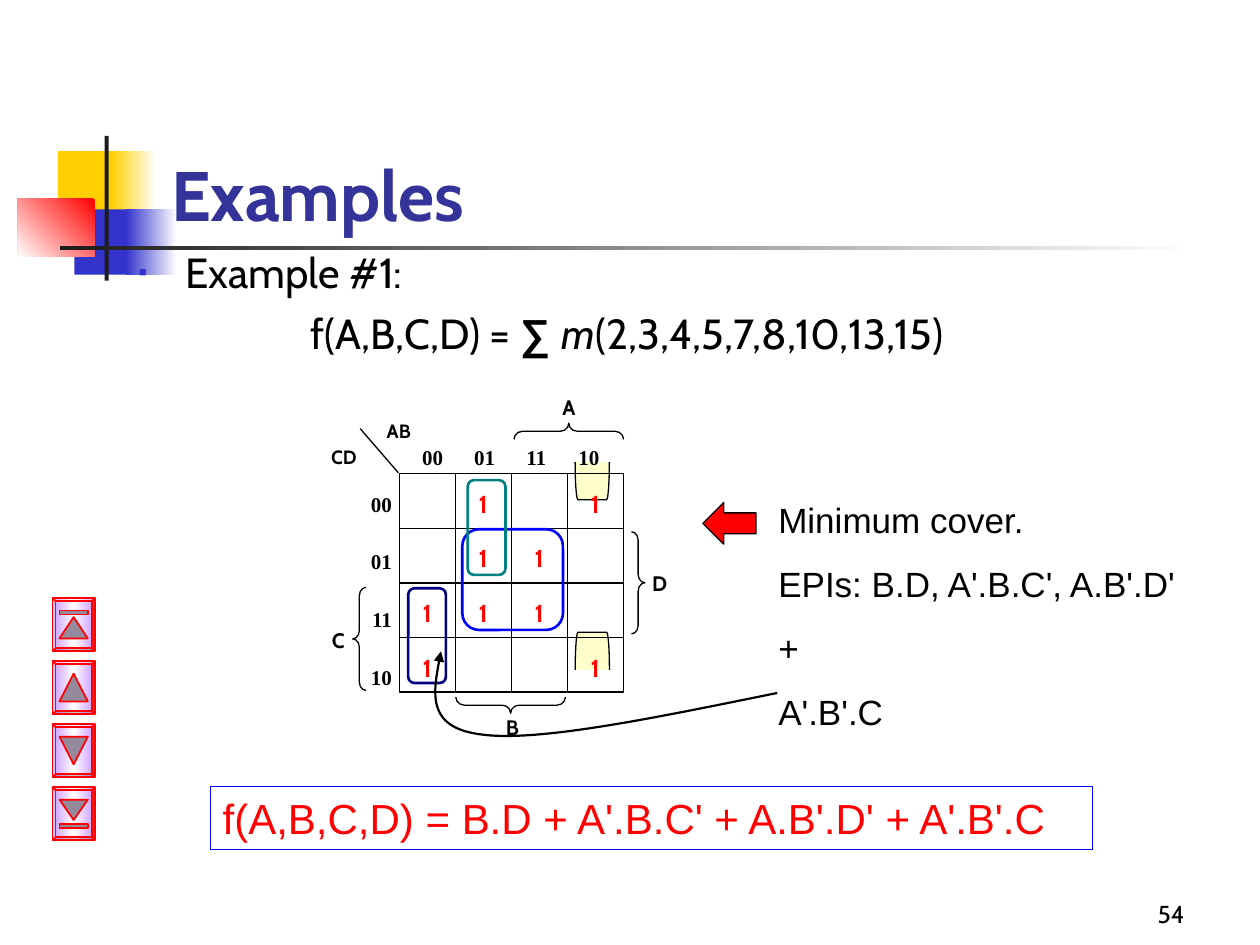
from lxml.etree import SubElement
from pptx import Presentation
from pptx.dml.color import RGBColor
from pptx.enum.shapes import MSO_CONNECTOR, MSO_SHAPE as SHAPE
from pptx.enum.text import MSO_ANCHOR as ANCHOR, PP_ALIGN as ALIGN
from pptx.oxml.ns import qn
from pptx.util import Cm, Pt

MINTERMS = (2, 3, 4, 5, 7, 8, 10, 13, 15)
GRAY_CODE = (0, 1, 3, 2)
MAP_X, MAP_Y, COL_W, ROW_H = 8.05, 9.55, 1.13, 1.1
BLACK, RED, BLUE = "000000", "FF0000", "3333CC"


def rgb(code):
    return RGBColor.from_string(code)


def fill_gradient(sp, colors, angle):
    sp.fill.gradient()
    sp.fill.gradient_angle = (360 - angle) % 360  # angle runs clockwise
    stops = sp._element.spPr.find(f"{qn('a:gradFill')}/{qn('a:gsLst')}")
    for stop in list(stops):
        stops.remove(stop)
    for i, color in enumerate(colors):
        stop = SubElement(stops, qn("a:gs"), pos=str(100000 * i // (len(colors) - 1)))
        SubElement(stop, qn("a:srgbClr"), val=color)


def style_line(sp, color, width):
    sp.line.color.rgb = rgb(color)
    sp.line.width = Pt(width)


def add_shape(s, kind, box, fill=None, line=None, width=0.75, adj=None,
              rot=0, gradient=None, angle=0, alpha=None):
    sp = s.shapes.add_shape(kind, *map(Cm, box))
    sp.shadow.inherit = False
    sp.rotation = rot
    if adj is not None:
        sp.adjustments[0] = adj
    if gradient:
        fill_gradient(sp, gradient, angle)
    elif fill:
        sp.fill.solid()
        sp.fill.fore_color.rgb = rgb(fill)
        if alpha:
            color = sp._element.spPr.find(f"{qn('a:solidFill')}/{qn('a:srgbClr')}")
            SubElement(color, qn("a:alpha"), val=str(alpha * 1000))
    else:
        sp.fill.background()
    if line:
        style_line(sp, line, width)
    else:
        sp.line.fill.background()
    return sp


def add_line(s, x1, y1, x2, y2):
    cn = s.shapes.add_connector(MSO_CONNECTOR.STRAIGHT, *map(Cm, (x1, y1, x2, y2)))
    style_line(cn, BLACK, 0.75)
    SubElement(cn._element.spPr, qn("a:effectLst"))
    return cn


def set_font(p, size, color=BLACK, name="Cabin", bold=False):
    p.font.size, p.font.name, p.font.bold = Pt(size), name, bold
    p.font.color.rgb = rgb(color)


def write_text(tf, lines, size, color=BLACK, name="Cabin", bold=False,
               align=ALIGN.LEFT, anchor=ANCHOR.TOP, gap=0):
    tf.word_wrap = True
    tf.vertical_anchor = anchor
    for i, line in enumerate(lines):
        p = tf.add_paragraph() if i else tf.paragraphs[0]
        p.text = line
        p.alignment = align
        if i and gap:
            p.space_before = Pt(gap)
        set_font(p, size, color, name, bold)


def add_text(s, box, lines, size, **style):
    tf = s.shapes.add_textbox(*map(Cm, box)).text_frame
    write_text(tf, lines, size, **style)
    return tf


def add_decoration(s):
    for box, look in (
        ((1.17, 3.05, 1.22, 1.32), {"fill": "FFCF01"}),
        ((2.24, 3.05, 0.91, 1.32), {"gradient": ("FFFFFF", "FFCF01"), "angle": 180}),
        ((1.5, 4.22, 1.17, 1.32), {"fill": BLUE}),
        ((2.54, 4.22, 1.02, 1.32), {"gradient": ("FFFFFF", BLUE), "angle": 180}),
        ((0.36, 4.01, 1.55, 1.17), {"gradient": (RED, "FFFFFF"), "angle": 135}),
        ((2.11, 2.74, 0.08, 2.92), {"fill": "1C1C1C"}),
        ((1.22, 4.95, 22.86, 0.09), {"gradient": ("FFFFFF", "1C1C1C"), "angle": 180}),
    ):
        add_shape(s, SHAPE.RECTANGLE, box, **look)


def add_example(s):
    tf = add_text(s, (2.54, 4.85, 22.23, 3.18), ["Example #1:", ""], 24, gap=6)
    first, formula = tf.paragraphs
    # Bullet of the first line; the formula is indented instead
    pPr = first._p.get_or_add_pPr()
    pPr.set("marL", str(Cm(0.95)))
    pPr.set("indent", str(-Cm(0.95)))
    bullet = (("buClr", {}), ("buSzPct", {"val": "60000"}),
              ("buFont", {"typeface": "Arial"}), ("buChar", {"char": "▪"}))
    for i, (tag, attrs) in enumerate(bullet):
        el = pPr.makeelement(qn(f"a:{tag}"), attrs)
        pPr.insert(i, el)
        if tag == "buClr":
            SubElement(el, qn("a:srgbClr"), val=BLUE)
    formula._p.get_or_add_pPr().set("marL", str(Cm(3.48)))
    for text in ("f(A,B,C,D) = ", "∑ ", "m", f"({','.join(map(str, MINTERMS))})"):
        r = formula.add_run()
        r.text = text
        if text == "∑ ":
            r.font.name, r.font.bold = "Arial", True
        r.font.italic = text == "m"


def add_nav_button(s, top, tri_y, tri_h, rot, bar_y=None):
    left = 1.06
    add_shape(s, SHAPE.BEVEL, (left, top, 0.85, 1.07), line=RED, width=1, adj=0.07,
              gradient=("CC99FF", "FFFFFF", "CC99FF"))
    add_shape(s, SHAPE.ISOSCELES_TRIANGLE, (left + 0.14, top + tri_y, 0.57, tri_h),
              fill="948A9C", line=RED, width=1, rot=rot)
    if bar_y:
        add_shape(s, SHAPE.RECTANGLE, (left + 0.14, top + bar_y, 0.57, 0.08),
                  fill="948A9C", line=RED, width=1)


def add_map_grid(s):
    w, h = 4 * COL_W, 4 * ROW_H
    frame = add_shape(s, SHAPE.RECTANGLE, (MAP_X, MAP_Y, w, h), line=BLACK)
    for i in (1, 2, 3):
        x, y = MAP_X + i * COL_W, MAP_Y + i * ROW_H
        column = add_line(s, x, MAP_Y, x, MAP_Y + h)
        row = add_line(s, MAP_X, y, MAP_X + w, y)
        if i == 2:
            for cn, start, end in ((column, 0, 2), (row, 1, 3)):
                cn.begin_connect(frame, start)
                cn.end_connect(frame, end)
    for m in MINTERMS:
        col, row = GRAY_CODE.index(m >> 2), GRAY_CODE.index(m & 3)
        add_text(s, (MAP_X + col * COL_W, MAP_Y + 0.18 + row * ROW_H, 1.12, 0.89),
                 ["1"], 14, color=RED, bold=True, align=ALIGN.CENTER)


def add_map_labels(s):
    codes = [f"{code:02b}" for code in GRAY_CODE]
    add_text(s, (7.16, 9.78, 0.99, 4.55), codes, 12, name="Times New Roman",
             bold=True, align=ALIGN.RIGHT, gap=18.5)
    tf = add_text(s, (8.26, 8.84, 4.22, 0.89), [""], 12)
    p = tf.paragraphs[0]
    p.text = "\t".join(codes)
    tabs = p._p.get_or_add_pPr().makeelement(qn("a:tabLst"), {})
    p._p.pPr.insert(0, tabs)
    for i in (1, 2, 3):
        SubElement(tabs, qn("a:tab"), pos=str(Cm(1.05 * i)), algn="l")
    set_font(p, 12, name="Times New Roman", bold=True)

    add_line(s, 8.03, 9.53, 7.26, 8.64)
    for text, size, box in (
        ("A", 12, (11.05, 7.82, 0.84, 0.69)), ("B", 12, (9.91, 14.27, 0.84, 0.66)),
        ("C", 12, (6.4, 12.52, 0.84, 0.89)), ("D", 12, (12.88, 11.38, 0.84, 0.89)),
        ("CD", 11, (6.15, 8.86, 1.57, 0.74)), ("AB", 11, (7.39, 8.33, 1.3, 0.74)),
    ):
        add_text(s, box, [text], size, bold=True, align=ALIGN.CENTER)
    # Braces for A, B, C and D
    for kind, box, rot, adj in (
        (SHAPE.LEFT_BRACE, (11.3, 7.59, 0.33, 2.21), 90, 0.52),
        (SHAPE.LEFT_BRACE, (10.13, 13.11, 0.33, 2.21), 270, 0.52),
        (SHAPE.LEFT_BRACE, (7.11, 11.84, 0.27, 2.08), 0, 0.63),
        (SHAPE.RIGHT_BRACE, (12.73, 10.72, 0.27, 2.06), 0, 0.63),
    ):
        add_shape(s, kind, box, line=BLACK, rot=rot, adj=adj)


def add_curved_arrow(s, points, width):
    start, *rest = [(Cm(x), Cm(y)) for x, y in points]
    builder = s.shapes.build_freeform(*start)
    builder.add_line_segments(rest, close=False)
    sp = builder.convert_to_shape()
    sp.shadow.inherit = False
    sp.fill.background()
    style_line(sp, BLACK, width)
    SubElement(sp.line._get_or_add_ln(), qn("a:tailEnd"), type="triangle")
    # Every three points after the start make one Bézier segment
    path = next(sp._element.iter(qn("a:path")))
    segments = path.findall(qn("a:lnTo"))
    for i in range(0, len(segments), 3):
        curve = SubElement(path, qn("a:cubicBezTo"))
        for seg in segments[i:i + 3]:
            curve.append(seg[0])
            path.remove(seg)


def main():
    prs = Presentation()
    prs.slide_width, prs.slide_height = Cm(25.4), Cm(19.05)
    s = prs.slides.add_slide(prs.slide_layouts[6])

    # Heading and function
    add_decoration(s)
    add_text(s, (3.2, 1.7, 21.64, 3.18), ["Examples"], 40, color="333399",
             bold=True, anchor=ANCHOR.BOTTOM)
    add_example(s)

    # Navigation: first, previous, next, last
    buttons = ((0.38, 0.43, 0, 0.25), (0.25, 0.56, 0), (0.25, 0.56, 180),
               (0.25, 0.41, 180, 0.74))
    for i, button in enumerate(buttons):
        add_nav_button(s, 12.06 + 1.27 * i, *button)

    # Cover notes
    add_text(s, (15.44, 9.93, 8.89, 4.98),
             ["Minimum cover.", "EPIs: B.D, A'.B.C', A.B'.D'", "+", "A'.B'.C"],
             20, name="Arial", gap=12.5)
    add_shape(s, SHAPE.LEFT_ARROW, (14.17, 10.13, 1.07, 0.84), fill=RED, line=BLACK)

    # Karnaugh map, with the wrapped-around group behind it
    for top, rot in ((12.78, 90), (9.35, 270)):
        add_shape(s, SHAPE.LEFT_BRACKET, (11.56, top, 0.76, 0.69), fill="FFFF99",
                  alpha=50, line=BLACK, rot=rot)
    add_map_grid(s)
    add_map_labels(s)
    for box, color in (((9.32, 10.67, 2.03, 2.03), "0000FF"),
                       ((8.23, 11.86, 0.76, 1.91), "000080"),
                       ((9.43, 9.68, 0.76, 1.91), "008080")):
        add_shape(s, SHAPE.ROUNDED_RECTANGLE, box, line=color, width=1.5)
    add_curved_arrow(s, ((15.67, 13.97), (13.26, 14.46), (10.87, 14.96), (9.73, 14.81),
                         (8.61, 14.68), (8.74, 13.89), (8.89, 13.13)), 1.25)

    # Result and page number
    result = add_shape(s, SHAPE.RECTANGLE, (4.24, 15.85, 17.78, 1.27), line="0000FF")
    write_text(result.text_frame, ["f(A,B,C,D) = B.D + A'.B.C' + A.B'.D' + A'.B'.C"],
               24, color=RED, name="Arial")
    add_text(s, (18.85, 17.58, 5.28, 1.27), ["54"], 14, align=ALIGN.RIGHT,
             anchor=ANCHOR.BOTTOM)
    prs.save("out.pptx")


if __name__ == "__main__":
    main()
